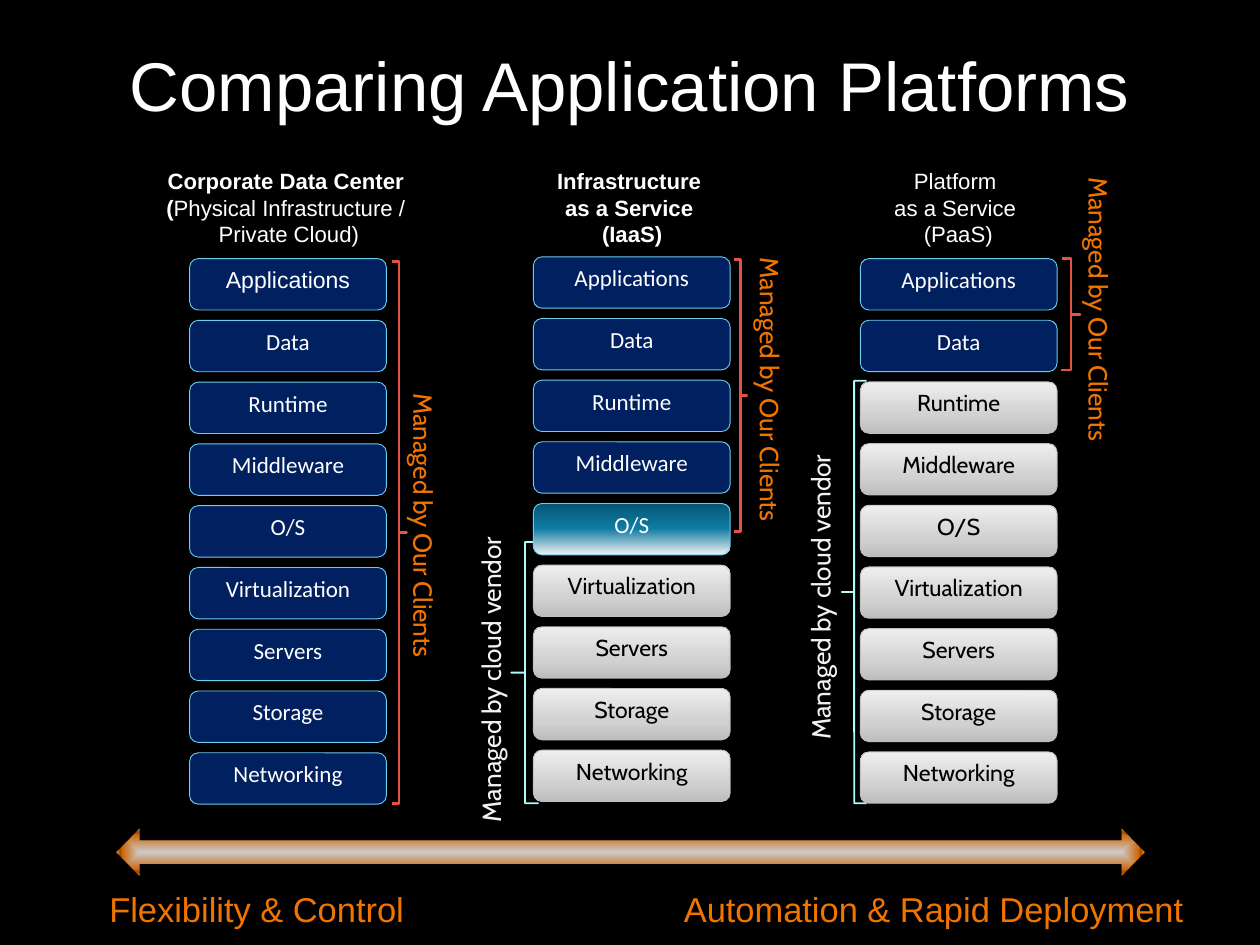
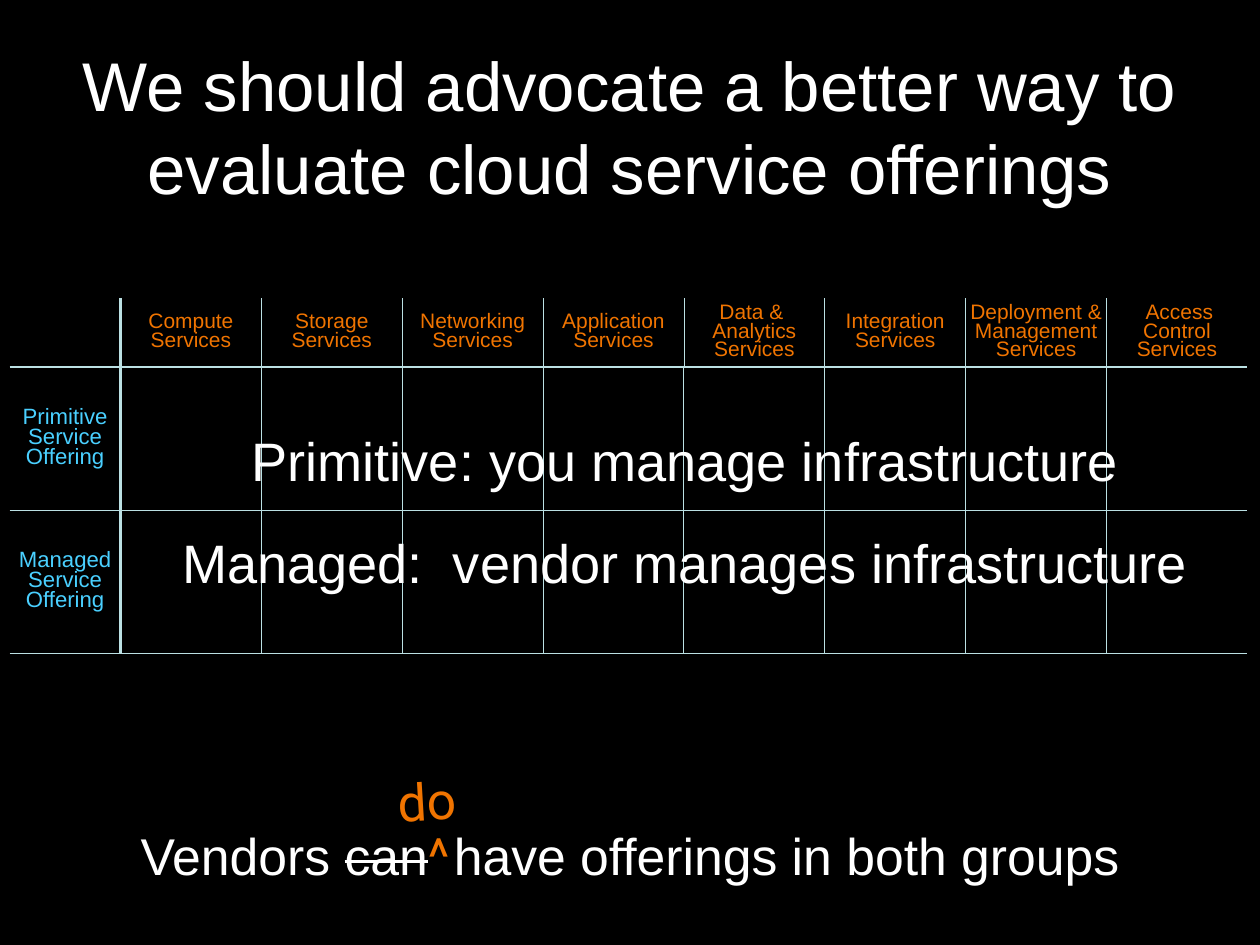
from lxml import etree
from pptx import Presentation
from pptx.dml.color import RGBColor
from pptx.enum.shapes import MSO_SHAPE
from pptx.enum.text import MSO_ANCHOR, MSO_AUTO_SIZE, PP_ALIGN
from pptx.oxml import parse_xml
from pptx.oxml.ns import qn
from pptx.util import Inches, Pt

HUE = {
    "back": "000000", "text": "FFFFFF", "accent": "F07400", "soft": "F2F2F2",
    "navy": "002060", "edge": "6BCDF0", "grey": "BFBFBF", "dark": "000000",
    "red": "E15343", "aqua": "AFFAFA", "rule": "BBE0E3", "sky": "4AD0FF",
}
NS = "http://schemas.openxmlformats.org/drawingml/2006/main"
PLAIN = "{2D5ABB26-0587-4C30-8999-92F81FD0307C}"  # no style, no grid

# Gradients: stops as (percent, colour, opacity), then direction
UP = '<a:lin ang="16200000" scaled="0"/>'
CORE = ('<a:path path="shape"><a:fillToRect l="50000" t="50000" '
        'r="50000" b="50000"/></a:path>')
SILVER = [(0, "BDBDBD", 100), (35, "D1D1D1", 100), (100, "EEEEEE", 100)]
TEAL = [(0, "F2F2F2", 100), (51, "107CA3", 100), (100, "045674", 100)]
FLAME = [(0, "FFFFFF", 80), (74, "FF810C", 80), (83, "FD7B00", 60),
         (100, "FF9D42", 100)]

# Box kinds: fill, line, text colour, font
KINDS = {
    "client": (HUE["navy"], "edge", "text", "Calibri"),
    "shared": (TEAL, "edge", "text", "Calibri"),
    "vendor": (SILVER, "grey", "dark", "Cabin"),
}
LAYERS = ["Applications", "Data", "Runtime", "Middleware", "O/S",
          "Virtualization", "Servers", "Storage", "Networking"]


def rgb(name):
    return RGBColor.from_string(HUE.get(name, name))


def style(font, size=None, hue=None, face=None, bold=None, strike=False):
    if size:
        font.size = Pt(size)
    if hue:
        font.color.rgb = rgb(hue)
    if face:
        font.name = face
    if bold is not None:
        font.bold = bold
    if strike:
        font._element.set("strike", "sngStrike")


def write(frame, paras, size, hue, face="Arial", align=PP_ALIGN.CENTER,
          bold=None, gap=0, lead=None):
    """Each paragraph is a string or a list of (text, style) runs."""
    for i, parts in enumerate(paras):
        para = frame.paragraphs[0] if i == 0 else frame.add_paragraph()
        para.alignment = align
        if lead:
            para.line_spacing = lead
        if i and gap:
            para.space_before = Pt(gap)
        if isinstance(parts, str):
            parts = [(parts, {})]
        for text, look in parts:
            for n, line in enumerate(text.split("\v")):
                if n:
                    para.add_line_break()
                run = para.add_run()
                run.text = line
                style(run.font, **look)
        style(para.font, size, hue, face, bold)


def label(slide, box, paras, size, hue, face="Arial", wrap=True, grow=True,
          inset=None, turn=0, flow=None, **more):
    shape = slide.shapes.add_textbox(*map(Inches, box))
    frame = shape.text_frame
    frame.word_wrap = wrap
    if grow:
        frame.auto_size = MSO_AUTO_SIZE.SHAPE_TO_FIT_TEXT
    if inset is not None:
        pad(frame, inset)
    shape.rotation = turn
    if flow:
        frame._txBody.bodyPr.set("vert", flow)
    write(frame, paras, size, hue, face, **more)


def pad(item, size):
    item.margin_left = item.margin_right = Inches(size)
    item.margin_top = item.margin_bottom = Inches(size)


def blend(shape, stops, way):
    marks = "".join(
        f'<a:gs pos="{pos * 1000}"><a:srgbClr val="{hue}">'
        f'<a:alpha val="{clear * 1000}"/></a:srgbClr></a:gs>'
        for pos, hue, clear in stops)
    props = shape._element.spPr
    props.find(qn("a:prstGeom")).addnext(parse_xml(
        f'<a:gradFill xmlns:a="{NS}" rotWithShape="1">'
        f"<a:gsLst>{marks}</a:gsLst>{way}</a:gradFill>"))


def draw(slide, kind, box, fill=None, line=None, width=0.75, way=UP,
         flip=False):
    shape = slide.shapes.add_shape(kind, *map(Inches, box))
    shape.shadow.inherit = False
    if isinstance(fill, list):
        blend(shape, fill, way)
    elif fill:
        shape.fill.solid()
        shape.fill.fore_color.rgb = rgb(fill)
    else:
        shape.fill.background()
    if line:
        shape.line.color.rgb = rgb(line)
        shape.line.width = Pt(width)
    else:
        shape.line.fill.background()
    if flip:
        shape._element.spPr.find(qn("a:xfrm")).set("flipH", "1")
    return shape


def page(deck, title):
    slide = deck.slides.add_slide(deck.slide_layouts[6])
    slide.background.fill.solid()
    slide.background.fill.fore_color.rgb = rgb("back")
    label(slide, (0.71, 0.43, 12.8, 1.78), [title], 56, "text", grow=False)
    return slide


def brace(slide, box, hue, width, flip):
    shape = draw(slide, MSO_SHAPE.LEFT_BRACE, box, None, hue, width, flip=flip)
    shape.adjustments[0] = 0
    shape.adjustments[1] = 0.5


def stack(slide, box, head, bold, kinds, client, vendor=None):
    """One platform; head, brace and label places are relative to the box."""
    x, y, w, h = box
    (dx, dy, wide), paras = head

    # Heading
    top = draw(slide, MSO_SHAPE.ROUNDED_RECTANGLE, (x + dx, y + dy, wide, 1.07))
    top.text_frame.vertical_anchor = MSO_ANCHOR.TOP
    write(top.text_frame, paras, 18, "text", bold=bold)

    # Who manages what
    (bx, by, bw, bh), (tx, ty) = client
    brace(slide, (x + bx, y + by, bw, bh), "red", 2, True)
    label(slide, (x + tx, y + ty, 0.56, 3.3), ["Managed by Our Clients"], 21.3,
          "accent", "Cabin", wrap=False, turn=180, flow="vert270",
          align=PP_ALIGN.LEFT)
    if vendor:
        (bx, by, bw, bh), (tx, ty) = vendor
        brace(slide, (x + bx, y + by, bw, bh), "aqua", 1.5, False)
        label(slide, (x + tx, y + ty, 0.56, 3.57), ["Managed by cloud vendor"],
              21.3, "soft", "Cabin", wrap=False, turn=180, flow="eaVert")

    # Layers
    tall = 0.58
    step = (h - tall) / (len(LAYERS) - 1)
    for i, (name, kind) in enumerate(zip(LAYERS, kinds)):
        fill, line, hue, face = KINDS[kind]
        tile = draw(slide, MSO_SHAPE.ROUNDED_RECTANGLE,
                    (x, y + i * step, w, tall), fill, line)
        tile.text_frame.vertical_anchor = MSO_ANCHOR.TOP
        first = i == 0 and vendor is None
        write(tile.text_frame, [name], 18.7, hue, "Arial" if first else face)


def scale(slide, box):
    """Arrow between the two extremes, with a caption at each end."""
    x, y, w, h = box
    draw(slide, MSO_SHAPE.LEFT_RIGHT_ARROW, box, FLAME, way=CORE)
    for dx, wide, text in ((-0.11, 3.39, "Flexibility & Control"),
                           (6.39, 5.67, "Automation & Rapid Deployment")):
        label(slide, (x + dx, y + 0.67, wide, 0.47), [text], 28, "accent",
              wrap=False, inset=0)


def compare(deck):
    slide = page(deck, "Comparing Application Platforms")
    scale(slide, (1.31, 9.36, 11.61, 0.53))
    stack(slide, (2.14, 2.92, 2.22, 6.16),
          ((-0.44, -1.13, 3.12),
           [[("Corporate Data Center \v(", {"bold": True}),
             ("Physical Infrastructure / \vPrivate Cloud)", {"bold": False})]]),
          None, ["client"] * 9,
          ((2.28, 0.03, 0.17, 6.12), (2.31, 1.42)))
    stack(slide, (9.71, 2.92, 2.22, 6.15),
          ((0.04, -1.13, 2.13), ["Platform \vas a Service ", "(PaaS)"]),
          None, ["client"] * 2 + ["vendor"] * 7,
          ((2.27, 0, 0.21, 1.26), (2.36, -1.02)),
          ((-0.21, 1.38, 0.28, 4.77), (-0.68, 1.96)))
    stack(slide, (6.02, 2.9, 2.22, 6.15),
          ((0.05, -1.11, 2.13), ["Infrastructure \vas a Service \v(IaaS)"]),
          True, ["client"] * 4 + ["shared"] + ["vendor"] * 4,
          ((2.27, 0.03, 0.14, 3.07), (2.34, -0.09)),
          ((-0.25, 3.22, 0.31, 2.95), (-0.71, 2.91)))


def border(cell, sides):
    props = cell._tc.get_or_add_tcPr()
    for side, width in sides:
        line = etree.SubElement(props, qn(f"a:ln{side}"), w=str(Pt(width or 0)))
        if width:
            fill = etree.SubElement(line, qn("a:solidFill"))
            etree.SubElement(fill, qn("a:srgbClr"), val=HUE["rule"])
        else:
            etree.SubElement(line, qn("a:noFill"))


def grid(slide, box, heads, names):
    rows, cols = len(names) + 1, len(heads) + 1
    frame = slide.shapes.add_table(rows, cols, *map(Inches, box))
    table = frame.table
    table.first_row = table.horz_banding = False
    table._tbl.tblPr.find(qn("a:tableStyleId")).text = PLAIN
    first, top = 1.25, 0.77
    for c, col in enumerate(table.columns):
        col.width = Inches((box[2] - first) / (cols - 1) if c else first)
    for r, row in enumerate(table.rows):
        row.height = Inches((box[3] - top) / (rows - 1) if r else top)

    def upright(r, c):
        if c in (0, cols):
            return None
        return 2 if c == 1 else 1 if r else 0.75

    def level(r, c):
        if r == 0:
            return None
        return 2 if r == 1 else 1 if c else 0.75

    for r in range(rows):
        for c in range(cols):
            cell = table.cell(r, c)
            border(cell, (("L", upright(r, c)), ("R", upright(r, c + 1)),
                          ("T", level(r, c)), ("B", level(r + 1, c))))
            cell.fill.background()
            if (r == 0) == (c == 0):
                continue
            if r and c:
                continue
            cell.vertical_anchor = MSO_ANCHOR.MIDDLE
            pad(cell, 0.07 if r else 0)
            write(cell.text_frame, [names[r - 1]] if r else heads[c - 1],
                  18 if r else 17, "sky" if r else "accent", lead=0.8)


def advocate(deck):
    slide = page(deck, "We should advocate a better way to "
                       "evaluate cloud service offerings")
    grid(slide, (0.11, 3.37, 13.97, 4.01),
         [["Compute Services"], ["Storage Services"], ["Networking Services"],
          ["Application Services"], ["Data & ", "Analytics Services"],
          ["Integration Services"], ["Deployment & Management", "Services"],
          [" Access Control Services"]],
         ["Primitive Service Offering", "Managed Service Offering"])

    # Corrected claim
    big = {"size": 42, "face": "Arial", "hue": "text"}
    label(slide, (0.82, 9.25, 12.58, 0.81),
          [[("Vendors ", big), ("can", {**big, "strike": True}),
            ("^", {"size": 42, "face": "Roboto", "hue": "accent"}),
            (" ", {"size": 14, "face": "Roboto", "hue": "text"}),
            ("have offerings in both groups", big)]], 42, "text")
    label(slide, (4.19, 8.63, 1.25, 0.81), ["do"], 42, "accent", "Roboto",
          turn=-3.4)

    # Definitions over the grid
    label(slide, (1.36, 4.78, 12.75, 1.99),
          ["Primitive: you manage infrastructure",
           "Managed:  vendor manages infrastructure"], 44, "text", gap=30)


def main():
    deck = Presentation()
    deck.slide_width, deck.slide_height = Inches(14.22), Inches(10.67)
    compare(deck)
    advocate(deck)
    deck.save("out.pptx")


if __name__ == "__main__":
    main()
